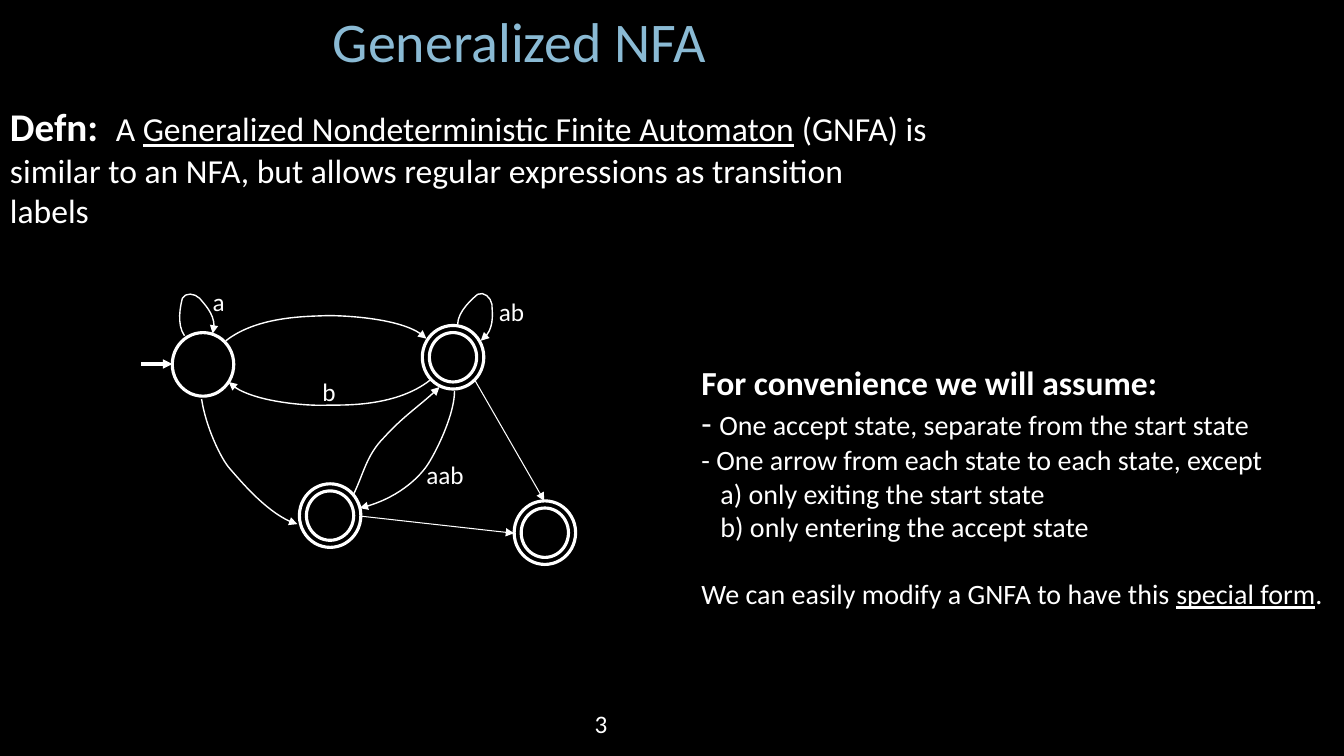
from lxml.etree import SubElement
from pptx import Presentation
from pptx.dml.color import RGBColor
from pptx.enum.shapes import MSO_CONNECTOR as Link, MSO_SHAPE as Preset
from pptx.enum.text import MSO_ANCHOR as Anchor, MSO_AUTO_SIZE as Fit, PP_ALIGN as Align
from pptx.oxml.ns import qn
from pptx.util import Pt

WHITE = "FFFFFF"
STATE_SIZE = (43.9, 45.4)
INNER_SIZE = (33.8, 35.3)
STATES = [
    ((145, 260.3), False),
    ((323.6, 255.2), True),
    ((235.8, 368.3), True),
    ((389.2, 380.5), True),
]
CURVES = [
    [(161.3, 243.4), (184.3, 225.4), (220.3, 226.1), (234, 225.4),
     (246.2, 225.4), (291.6, 227.5), (304.6, 241.9)],
    [(131.8, 239.8), (126, 231.8), (128.9, 218.2), (130.3, 213.1),
     (132.5, 208.8), (139, 209.5), (142.6, 213.1),
     (145.4, 216.7), (156.2, 226.8), (151.9, 238.3)],
    [(307.4, 271.4), (283.7, 290.2), (247.7, 289.4), (234.7, 289.4),
     (222.5, 290.2), (176.4, 287.3), (163.4, 272.9)],
    [(326.9, 231.8), (326.9, 222.5), (337.7, 213.1), (341.3, 210.2),
     (345.6, 208.1), (350.6, 212.4), (351.4, 217.4),
     (351.4, 221.8), (354.2, 236.2), (343.4, 243.4)],
    [(144, 285.1), (146.9, 304.6), (157.7, 327.6), (164.2, 334.8),
     (170.6, 342), (192.2, 368.6), (212.4, 374.4)],
    [(324.7, 279.4), (324.7, 295.2), (313.2, 319.7), (306, 331.2),
     (301, 339.1), (285.1, 356.4), (257, 362.9)],
    [(252.7, 352.8), (259.9, 337.7), (262.1, 324.7), (274.3, 312.5),
     (287.3, 298.1), (302.4, 288), (313.9, 276.5)],
]
ARROWS = [
    ((100.8, 260), (123.1, 260), 2.25),
    ((339.1, 271.4), (388.8, 357.8), 0.75),
    ((257, 368.6), (367.2, 380.9), 0.75),
]
LABELS = [
    ("ab", 349.2, 208.1, 33),
    ("b", 223.2, 265, 24.5),
    ("a", 144.7, 200.9, 24),
    ("aab", 297.4, 324.7, 42),
    ("3", 417.6, 502.6, 24),
]


def rgb(value):
    """Return the colour of a hex string."""
    return RGBColor.from_string(value)


def write(paragraph, text, size=20, color=WHITE, bold=False, underline=False):
    """Add formatted text to a paragraph, breaking lines at newlines."""
    for index, line in enumerate(text.split("\n")):
        if index:
            paragraph.add_line_break()
        run = paragraph.add_run()
        run.text = line
        font = run.font
        font.name, font.size = "Calibri", Pt(size)
        font.bold, font.underline = bold, underline
        font.color.rgb = rgb(color)


def text_frame(slide, left, top, width, height, wrap=True):
    """Add a text box and return its frame."""
    frame = slide.shapes.add_textbox(Pt(left), Pt(top), Pt(width), Pt(height)).text_frame
    frame.word_wrap = wrap
    frame.auto_size = Fit.SHAPE_TO_FIT_TEXT
    return frame


def outline(item, width, arrow=False):
    """Draw an item's line in white, with an arrowhead at its end if wanted."""
    item.line.color.rgb = rgb(WHITE)
    item.line.width = Pt(width)
    if arrow:
        SubElement(item.line._get_or_add_ln(), qn("a:tailEnd"), type="triangle")


def ring(slide, center, size):
    """Add an unfilled ellipse around a center."""
    (x, y), (width, height) = center, size
    ellipse = slide.shapes.add_shape(
        Preset.OVAL, Pt(x - width / 2), Pt(y - height / 2), Pt(width), Pt(height))
    ellipse.shadow.inherit = False
    ellipse.fill.background()
    outline(ellipse, 2.25)


def state(slide, center, accepting):
    """Add a state, with a second ring when it accepts."""
    ring(slide, center, STATE_SIZE)
    if accepting:
        ring(slide, center, INNER_SIZE)


def curved_arrow(slide, points):
    """Add an arrow of joined cubic curves through a start and control points."""
    start, *controls = [(Pt(x), Pt(y)) for x, y in points]
    builder = slide.shapes.build_freeform(*start)
    builder.add_line_segments(controls, close=False)
    curve = builder.convert_to_shape()
    curve.shadow.inherit = False
    curve.fill.background()
    outline(curve, 1, arrow=True)
    outline_path = next(curve._element.iter(qn("a:path")))
    segments = outline_path.findall(qn("a:lnTo"))
    for first in range(0, len(segments), 3):
        cubic = SubElement(outline_path, qn("a:cubicBezTo"))
        for segment in segments[first:first + 3]:
            cubic.append(segment[0])
            outline_path.remove(segment)


def straight_arrow(slide, start, end, width):
    """Add a straight arrow between two points."""
    arrow = slide.shapes.add_connector(Link.STRAIGHT, *(Pt(v) for v in (*start, *end)))
    outline(arrow, width, arrow=True)
    SubElement(arrow._element.spPr, qn("a:effectLst"))


def heading(slide):
    """Place and format the slide title."""
    title = slide.shapes.title
    title.left, title.top, title.width, title.height = Pt(80), Pt(0.7), Pt(581.8), Pt(56)
    frame = title.text_frame
    frame.vertical_anchor = Anchor.TOP
    frame.auto_size = Fit.SHAPE_TO_FIT_TEXT
    frame.paragraphs[0].alignment = Align.CENTER
    write(frame.paragraphs[0], "Generalized NFA", size=40, color="8ABAD4")


def definition(slide):
    """Add the definition of the automaton."""
    paragraph = text_frame(slide, 0, 69.8, 671, 99).paragraphs[0]
    tabs = SubElement(paragraph._p.get_or_add_pPr(), qn("a:tabLst"))
    SubElement(tabs, qn("a:tab"), pos=str(Pt(75.6)), algn="l")
    write(paragraph, "Defn:\t", size=28, bold=True)
    write(paragraph, "A ", size=24)
    write(paragraph, "Generalized Nondeterministic Finite Automaton", size=24, underline=True)
    write(paragraph, " (GNFA) is\nsimilar to an NFA, but allows regular expressions"
                     " as transition\nlabels", size=24)


def assumptions(slide):
    """Add the list of assumptions."""
    frame = text_frame(slide, 493.9, 254.9, 464.4, 186.5)
    write(frame.paragraphs[0], "For convenience we will assume:", size=24, bold=True)
    accept = frame.add_paragraph()
    write(accept, "- ", size=24)
    write(accept, "One accept state, separate from the start state")
    write(frame.add_paragraph(), "- One arrow from each state to each state, except")
    exceptions = frame.add_paragraph()
    exceptions._p.get_or_add_pPr().set("marL", str(Pt(13.6)))
    write(exceptions, "a) only exiting the start state\nb) only entering the accept state")
    closing = frame.add_paragraph()
    closing.space_before = Pt(24)
    write(closing, "We can easily modify a GNFA to have this ")
    write(closing, "special form", underline=True)
    write(closing, ".")


def main():
    """Build and save the slide."""
    deck = Presentation()
    deck.slide_width, deck.slide_height = Pt(960), Pt(540)
    slide = deck.slides.add_slide(deck.slide_layouts[5])
    slide.background.fill.solid()
    slide.background.fill.fore_color.rgb = rgb("000000")
    heading(slide)
    definition(slide)
    assumptions(slide)
    for center, accepting in STATES:
        state(slide, center, accepting)
    for points in CURVES:
        curved_arrow(slide, points)
    for start, end, width in ARROWS:
        straight_arrow(slide, start, end, width)
    for label, left, top, width in LABELS:
        frame = text_frame(slide, left, top, width, 29, wrap=False)
        write(frame.paragraphs[0], label, size=18)
    deck.save("out.pptx")


if __name__ == "__main__":
    main()
